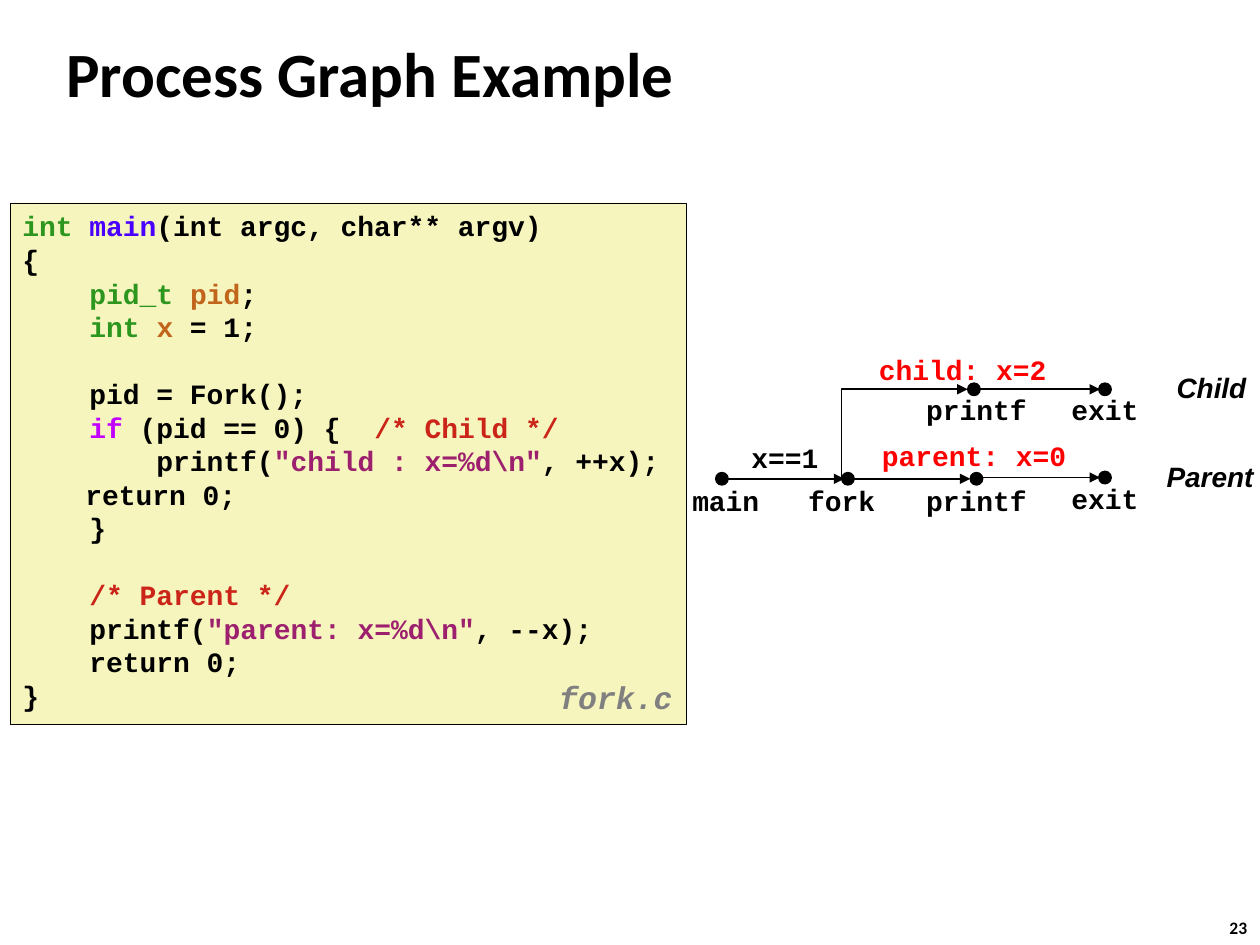
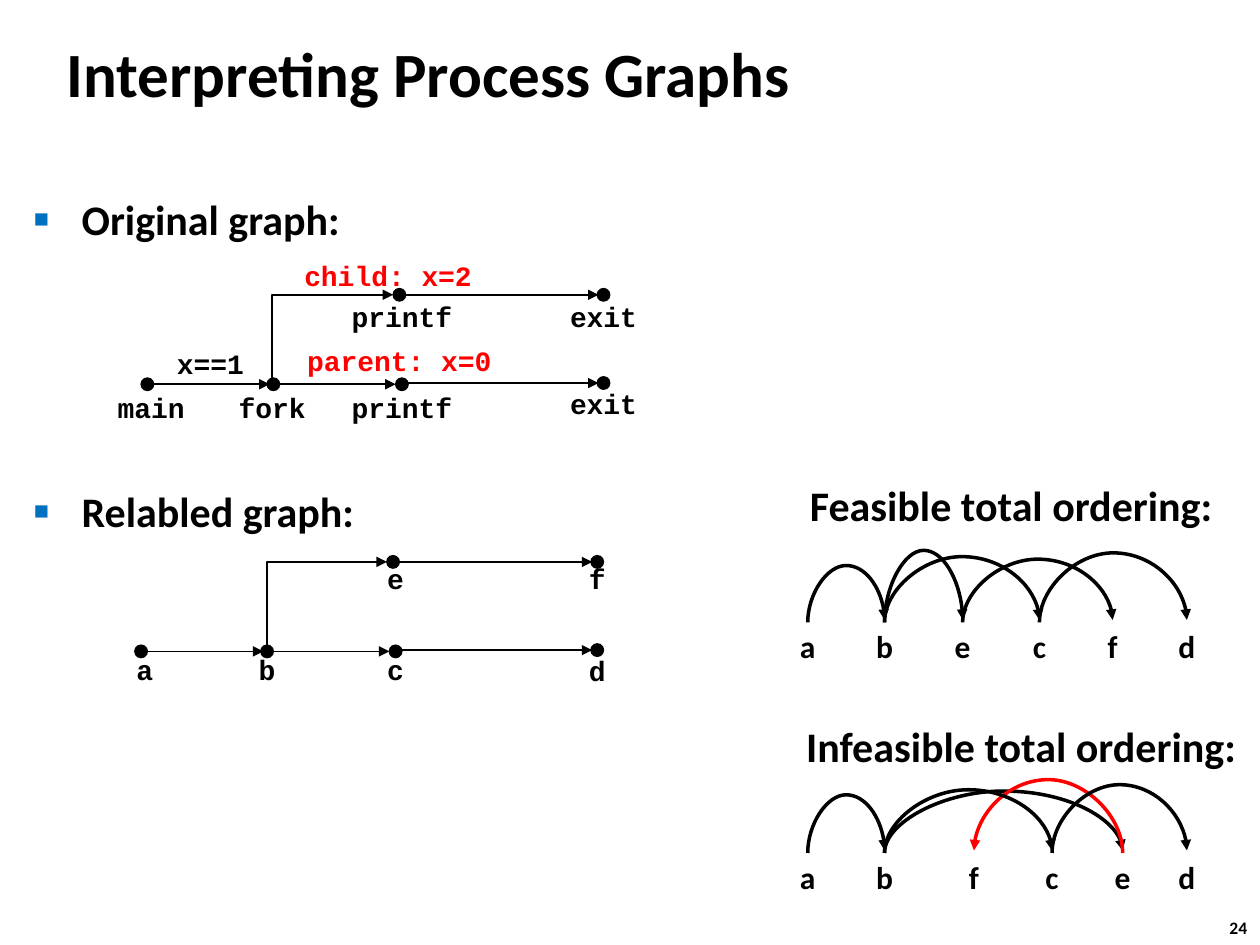
import pptx
import pptx.util
import pptx.dml.color
import pptx.enum.shapes
import pptx.enum.text
import pptx.oxml.ns
from lxml import etree

PX = 9144  # EMU per px, 100 px to the inch
RGBColor = pptx.dml.color.RGBColor
BLACK = RGBColor(0x00, 0x00, 0x00)
RED = RGBColor(0xFF, 0x00, 0x00)
GRAY = RGBColor(0x80, 0x80, 0x80)
CREAM = RGBColor(0xF6, 0xF5, 0xBD)
TYPE_GREEN = RGBColor(0x2D, 0x96, 0x1E)
FUNCTION_BLUE = RGBColor(0x4A, 0x00, 0xFF)
VARIABLE_BROWN = RGBColor(0xC1, 0x65, 0x1C)
KEYWORD_VIOLET = RGBColor(0xC2, 0x00, 0xFF)
COMMENT_RED = RGBColor(0xCB, 0x24, 0x18)
STRING_PLUM = RGBColor(0x9D, 0x20, 0x6F)

TITLE = {"name": "Calibri", "size": pptx.util.Pt(36), "bold": True}
HEADING = {"name": "Calibri", "size": pptx.util.Pt(24), "bold": True}
LETTER = {"name": "Calibri", "size": pptx.util.Pt(18), "bold": True}
NUMBER = {"name": "Calibri", "size": pptx.util.Pt(10), "bold": True}
CODE = {"name": "Courier New", "size": pptx.util.Pt(16), "bold": True}
FILE_NAME = {"name": "Courier New", "size": pptx.util.Pt(18), "bold": True, "italic": True}
ROLE = {"name": "Arial", "size": pptx.util.Pt(16), "bold": True, "italic": True}

LEFT = pptx.enum.text.PP_ALIGN.LEFT
CENTER = pptx.enum.text.PP_ALIGN.CENTER
STRAIGHT = pptx.enum.shapes.MSO_CONNECTOR.STRAIGHT
ELBOW = pptx.enum.shapes.MSO_CONNECTOR.ELBOW
CURVE = pptx.enum.shapes.MSO_CONNECTOR.CURVE
SHAPES = pptx.enum.shapes.MSO_SHAPE
qn = pptx.oxml.ns.qn


def add_text(page, left, top, width, height, text, style, color=BLACK, align=LEFT, wrap=False):
    box = page.shapes.add_textbox(*(round(v * PX) for v in (left, top, width, height)))
    box.text_frame.word_wrap = wrap
    para = box.text_frame.paragraphs[0]
    para.alignment = align
    span = para.add_run()
    span.text = text
    for name, value in style.items():
        setattr(span.font, name, value)
    span.font.color.rgb = color
    return box


def add_arrow(page, kind, x1, y1, x2, y2, color=BLACK, weight=1, rise=0):
    """Elbows and curves leave the start upwards, so they are turned a quarter."""
    ends = (x1, y1, x2, y2)
    if kind != STRAIGHT:
        run, climb = abs(x2 - x1), y1 - y2
        left, top = (x1 + x2 - climb) / 2, (y1 + y2 - run) / 2
        ends = (left, top, left + climb, top + run)
    connector = page.shapes.add_connector(kind, *(round(v * PX) for v in ends))
    connector.line.color.rgb = color
    connector.line.width = pptx.util.Pt(weight)
    properties = connector._element.spPr
    if kind != STRAIGHT:
        frame = properties.find(qn("a:xfrm"))
        rightward = x2 > x1
        frame.set("rot", "5400000" if rightward else "16200000")
        frame.set("flipV", "1")
        if rightward:
            frame.set("flipH", "1")
        geometry = properties.find(qn("a:prstGeom"))
        if kind == ELBOW:
            geometry.set("prst", "bentConnector2")
        else:
            guide = etree.SubElement(geometry.find(qn("a:avLst")), qn("a:gd"))
            guide.set("name", "adj1")
            guide.set("fmla", f"val {round(rise / climb * 100000)}")
    etree.SubElement(properties.find(qn("a:ln")), qn("a:tailEnd")).set("type", "triangle")
    etree.SubElement(properties, qn("a:effectLst"))


deck = pptx.Presentation()
deck.slide_width = 1000 * PX
deck.slide_height = 750 * PX

# Titles and page numbers
pages = []
for number, title in ((23, "Process Graph Example"), (24, "Interpreting Process Graphs")):
    page = deck.slides.add_slide(deck.slide_layouts[6])
    add_text(page, 966, 723, 37, 27, str(number), NUMBER)
    box = add_text(page, 43, 16, 830, 83, title, TITLE, wrap=True)
    box.text_frame.vertical_anchor = pptx.enum.text.MSO_ANCHOR.MIDDLE
    pages.append(page)
example_page, reading_page = pages

# Code listing: an empty line becomes space before the next one
listing = [
    [("int ", TYPE_GREEN), ("main", FUNCTION_BLUE), ("(int argc, char** argv)", BLACK)],
    [("{", BLACK)],
    [("    pid_t ", TYPE_GREEN), ("pid", VARIABLE_BROWN), (";", BLACK)],
    [("    int ", TYPE_GREEN), ("x", VARIABLE_BROWN), (" = 1;", BLACK)],
    [],
    [("    pid = Fork();", BLACK)],
    [("    if", KEYWORD_VIOLET), (" (pid == 0) {  ", BLACK), ("/* Child */", COMMENT_RED)],
    [("        printf(", BLACK), ('"child : x=%d\\n"', STRING_PLUM), (", ++x);", BLACK)],
    [("\treturn 0;", BLACK)],
    [("    }", BLACK)],
    [],
    [("    /* Parent */", COMMENT_RED)],
    [("    printf(", BLACK), ('"parent: x=%d\\n"', STRING_PLUM), (", --x);", BLACK)],
    [("    return 0;", BLACK)],
    [("}", BLACK)],
]
panel = example_page.shapes.add_shape(SHAPES.RECTANGLE, 8 * PX, 161 * PX, 537 * PX, 414 * PX)
panel.shadow.inherit = False
panel.fill.solid()
panel.fill.fore_color.rgb = CREAM
panel.line.color.rgb = BLACK
panel.line.width = pptx.util.Pt(0.25)
frame = panel.text_frame
frame.word_wrap = True
frame.vertical_anchor = pptx.enum.text.MSO_ANCHOR.TOP
for index, line in enumerate(listing):
    if not line:
        continue
    para = frame.add_paragraph() if index else frame.paragraphs[0]
    para.alignment = LEFT
    if index and not listing[index - 1]:
        para.space_before = pptx.util.Pt(19)
    for text, color in line:
        span = para.add_run()
        span.text = text
        for name, value in CODE.items():
            setattr(span.font, name, value)
        span.font.color.rgb = color
box = add_text(example_page, 434, 536, 117, 39, "fork.c", FILE_NAME, GRAY)
box.text_frame.paragraphs[0].line_spacing = 0.94

# Roles beside the two branches
add_text(example_page, 924, 289, 77, 37, "Child", ROLE)
add_text(example_page, 916, 360, 92, 37, "Parent", ROLE)

# Bulleted headings
box = add_text(reading_page, 17, 149, 514, 426, "Original graph:", HEADING, wrap=True)
para = box.text_frame.add_paragraph()
para.space_before = pptx.util.Pt(138)
span = para.add_run()
span.text = "Relabled graph:"
for name, value in HEADING.items():
    setattr(span.font, name, value)
span.font.color.rgb = BLACK
for para in box.text_frame.paragraphs:
    layout = para._p.get_or_add_pPr()
    layout.set("marL", str(38 * PX))
    layout.set("indent", str(-38 * PX))
    bullet_color = etree.SubElement(layout, qn("a:buClr"))
    etree.SubElement(bullet_color, qn("a:srgbClr")).set("val", "0070C0")
    etree.SubElement(layout, qn("a:buSzPct")).set("val", "60000")
    etree.SubElement(layout, qn("a:buFont")).set("typeface", "Arial")
    etree.SubElement(layout, qn("a:buChar")).set("char", "■")

# Process graphs: page, left and top of first dot, fork centre, exit dot,
# label drop, node names (main, fork, printf, exit, child printf, child exit)
calls = ("main", "fork", "printf", "exit", "printf", "exit")
graphs = [
    (example_page, 568, 375, 100, 304, 4, calls),
    (reading_page, 112, 300, 104, 362, 5, calls),
    (reading_page, 107, 512, 105, 362, 1, ("a", "b", "c", "d", "e", "f")),
]
for page, x, y, fork, leave, drop, names in graphs:
    add_arrow(page, ELBOW, x + fork, y + 4, x + 200, y - 66)
    for start, end, height in ((10, 102, 5), (110, 202, 5),
                               (209, leave + 1, 4), (209, leave + 1, -66)):
        add_arrow(page, STRAIGHT, x + start, y + height, x + end, y + height)
    for left, top in ((0, 0), (100, 0), (202, 0), (leave, -1), (200, -71), (leave, -71)):
        dot = page.shapes.add_shape(SHAPES.OVAL, (x + left) * PX, (y + top) * PX, 10 * PX, 10 * PX)
        dot.shadow.inherit = False
        dot.fill.solid()
        dot.fill.fore_color.rgb = BLACK
        dot.line.color.rgb = BLACK
        dot.line.width = pptx.util.Pt(0.75)
    places = ((8, drop, 74), (fork, drop, 76), (207, drop, 104),
              (leave + 5, 2, 104), (207, drop - 72, 104), (leave + 5, drop - 72, 104))
    labels = [(name, *place, BLACK) for name, place in zip(names, places)]
    if names == calls:
        labels += [("x==1", 55, -30, 87, BLACK), ("child: x=2", 196, -100, 201, RED),
                   ("parent: x=0", 205, -32, 201, RED)]
    for text, middle, top, width, color in labels:
        add_text(page, x + middle - width / 2, y + top, width, 37, text, CODE, color, CENTER, True)

# Total orderings: letter centres, and arcs with their rise
orderings = [
    ("Feasible total ordering:", 633, 376, 344, 494,
     {"a": 641, "b": 702, "e": 764, "c": 825, "f": 883, "d": 942},
     (("ab", 45, BLACK), ("be", 57, BLACK), ("ef", 50, BLACK),
      ("bc", 52, BLACK), ("cd", 55, BLACK))),
    ("Infeasible total ordering:", 630, 567, 367, 677,
     {"a": 641, "b": 702, "f": 773, "c": 835, "e": 891, "d": 942},
     (("ab", 46, BLACK), ("be", 49, BLACK), ("ef", 58, RED),
      ("bc", 50, BLACK), ("cd", 54, BLACK))),
]
for heading, left, top, width, base, centres, arcs in orderings:
    add_text(reading_page, left, top, width, 50, heading, HEADING)
    for letter, middle in centres.items():
        add_text(reading_page, middle - 17, base - 1, 34, 40, letter, LETTER, align=CENTER)
    for (start, end), rise, color in arcs:
        add_arrow(reading_page, CURVE, centres[start], base, centres[end], base - 2, color, 2, rise)

deck.save("out.pptx")
